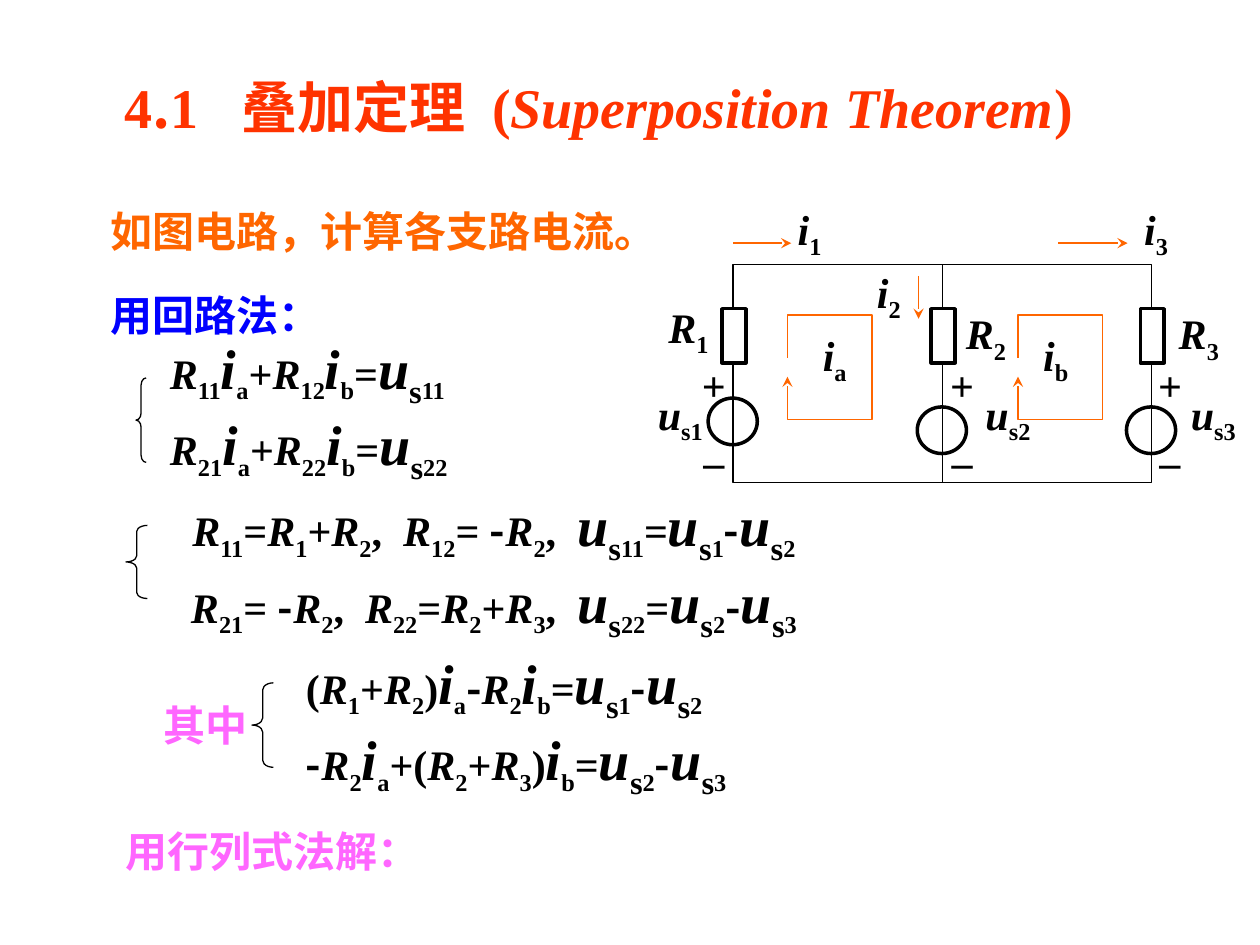
from itertools import groupby
from lxml import etree
from pptx import Presentation
from pptx.dml.color import RGBColor
from pptx.enum.shapes import MSO_CONNECTOR as Conn, MSO_SHAPE as Form
from pptx.enum.text import MSO_ANCHOR as Anchor, MSO_AUTO_SIZE as Fit, PP_ALIGN as Align
from pptx.oxml import parse_xml
from pptx.oxml.ns import qn
from pptx.util import Inches, Pt

SERIF, SANS = "Times New Roman", "Noto Sans CJK SC"
INK = {"black": "000000", "white": "FFFFFF", "red": "FF3300",
       "orange": "FF6600", "blue": "0000FF", "pink": "FF66FF"}
SHADE = ('<a:effectLst xmlns:a="http://schemas.openxmlformats.org/drawingml/2006/main">'
         '<a:outerShdw dist="25400" dir="2700000"><a:srgbClr val="969696"/>'
         '</a:outerShdw></a:effectLst>')

# Each run is its text and format; "gap" is extra letter spacing in points
TITLE = [("4", {}), (".", {"font": SANS}), ("1", {}), (" ", {"gap": 16}),
         ("叠加定理", {}), (" ", {"gap": 8}), ("(", {}),
         ("Superposition Theorem", {"italic": True}), (")", {})]
NOTES = [("如图电路，计算各支路电流。", "orange", (0.75, 1.58, 4.25, 0.5)),
         ("用回路法：", "blue", (0.75, 2.25, 1.58, 0.5)),
         ("其中", "pink", (1.17, 5.5, 0.92, 0.5)),
         ("用行列式法解：", "pink", (0.75, 6.5, 2.5, 0.5))]

# Square brackets hold a subscript
SUMS = [
    (["R[11]i[a]+R[12]i[b]=u[s11]", "R[21]i[a]+R[22]i[b]=u[s22]"],
     (1.25, 2.59, 2.67, 1.32), Align.JUSTIFY),
    (["R[11]=R[1]+R[2], R[12]= -R[2], u[s11]=u[s1]-u[s2]",
      "R[21]= -R[2], R[22]=R[2]+R[3], u[s22]=u[s2]-u[s3]"],
     (1.17, 3.84, 5.5, 1.32), Align.CENTER),
    (["(R[1]+R[2])i[a]-R[2]i[b]=u[s1]-u[s2]",
      "-R[2]i[a]+(R[2]+R[3])i[b]=u[s2]-u[s3]"],
     (2.33, 5.09, 3.75, 1.32), Align.JUSTIFY)]
BRACES = [(1.08, 3, 0.08, 0.67), (1, 4.17, 0.17, 0.58), (2, 5.42, 0.17, 0.67)]

# Circuit: three branches hang between the top and bottom wires
LEFT, TOP, STEP, TALL = 5.82, 2.1, 1.66, 1.73
CELLS = [3.16, 3.23, 3.23]
SIGNS = [5.47, 7.44, 9.09]
TAGS = [("R[1]", (5.18, 2.34, 0.57)), ("R[2]", (7.5, 2.39, 0.65)),
        ("R[3]", (9.23, 2.39, 0.57)), ("u[s1]", (5.12, 3.03, 0.56)),
        ("u[s2]", (7.72, 3.03, 0.56)), ("u[s3]", (9.26, 3.03, 0.74)),
        ("i[1]", (6.23, 1.56, 0.39)), ("i[2]", (6.86, 2.06, 0.39)),
        ("i[3]", (8.98, 1.56, 0.39)), ("i[a]", (6.43, 2.56, 0.39)),
        ("i[b]", (8.18, 2.56, 0.4))]
FLOWS = [(5.82, 1.93, 6.28, 1.93), (7.29, 2.19, 7.29, 2.53), (8.4, 1.93, 8.95, 1.93)]
LOOPS = [6.25, 8.08]

deck = Presentation()
deck.slide_width, deck.slide_height = Inches(10), Inches(7.5)
page = deck.slides.add_slide(deck.slide_layouts[6])
shapes = page.shapes


def tint(name):
    return RGBColor.from_string(INK[name])


def math(code, big=False):
    """Split a formula into runs; big enlarges i, u and the s below u."""
    runs, base = [], ""
    for n, part in enumerate(code.replace("]", "[").split("[")):
        if n % 2:
            if big and base == "u":
                runs.append((part[0], {"sub": True, "size": 32}))
                part = part[1:]
            runs.append((part, {"sub": True}))
            continue
        base = part[-1:]
        for kind, group in groupby(part, lambda c: c if c in "Riu-" else ", " if c in ", " else ""):
            word = "".join(group)
            look = {"italic": kind in ("R", "i", "u")}
            if kind == "-":
                look["font"] = SANS
            if word == ", ":
                look["gap"] = 3
            if big and kind in ("i", "u"):
                look["size"] = 32
            runs.append((word, look))
    return runs


def text(rows, at, size=24, color="black", align=Align.CENTER,
         anchor=Anchor.MIDDLE, wrap=True, fit=Fit.SHAPE_TO_FIT_TEXT, inset=0.1, shade=False):
    frame = shapes.add_textbox(*map(Inches, at)).text_frame
    frame.word_wrap, frame.auto_size = wrap, fit
    frame.vertical_anchor, frame.margin_left = anchor, Inches(inset)
    for n, row in enumerate(rows):
        para = frame.add_paragraph() if n else frame.paragraphs[0]
        para.alignment = align
        for word, look in row:
            run = para.add_run()
            run.text = word
            font = run.font
            font.size, font.bold = Pt(look.get("size", size)), True
            font.italic = look.get("italic", False)
            font.color.rgb = tint(color)
            font.name = look.get("font", SERIF)
            props = run._r.get_or_add_rPr()
            props.find(qn("a:latin")).addnext(
                etree.Element(qn("a:ea"), typeface=SANS))
            if look.get("sub"):
                props.set("baseline", "-25000")
            if "gap" in look:
                props.set("spc", str(look["gap"] * 100))
            if shade:
                props.find(qn("a:solidFill")).addnext(parse_xml(SHADE))


def ink(shape, width, color="black", fill=None):
    shape.shadow.inherit = False
    shape.line.width, shape.line.color.rgb = Pt(width), tint(color)
    if fill:
        shape.fill.solid()
        shape.fill.fore_color.rgb = tint(fill)
    else:
        shape.fill.background()
    return shape


def draw(form, at, width, fill=None):
    return ink(shapes.add_shape(form, *map(Inches, at)), width, fill=fill)


def wire(ends, color="black"):
    line = shapes.add_connector(Conn.STRAIGHT, *map(Inches, ends))
    line.line.width, line.line.color.rgb = Pt(1), tint(color)
    etree.SubElement(line._element.spPr, qn("a:effectLst"))
    return line


def arrow(shape):
    etree.SubElement(shape.line._get_or_add_ln(), qn("a:tailEnd"), type="stealth")


for at in BRACES:
    brace = draw(Form.LEFT_BRACE, at, 0.75)
    brace.adjustments[0] = at[3] / 12 / at[2]

text([TITLE], (0.67, 0.58, 8.25, 0.58), size=32, color="red", align=Align.LEFT,
     anchor=Anchor.BOTTOM, fit=Fit.NONE, inset=0.32, shade=True)
for note, color, at in NOTES:
    text([[(note, {})]], at, color=color)
for rows, at, align in SUMS:
    text([math(row, big=True) for row in rows], at, align=align)

frame = draw(Form.RECTANGLE, (LEFT, TOP, 2 * STEP, TALL), 1, "white")
mid = wire((LEFT + STEP, TOP, LEFT + STEP, TOP + TALL))
mid.begin_connect(frame, 0)
mid.end_connect(frame, 2)
for n, (cell, sign) in enumerate(zip(CELLS, SIGNS)):
    x = LEFT + n * STEP
    draw(Form.OVAL, (x - 0.2, cell, 0.39, 0.37), 2)
    draw(Form.RECTANGLE, (x - 0.09, 2.45, 0.19, 0.43), 2, "white")
    for mark, y in (("+", 2.8), ("–", 3.41)):
        text([[(mark, {})]], (sign, y, 0.39, 0.5), wrap=False)
for code, at in TAGS:
    text([math(code)], (*at, 0.56), wrap=code[0] == "R")
for ends in FLOWS:
    arrow(wire(ends, "orange"))
for x in LOOPS:
    spots = [(x, 2.84), (x, 2.5), (x + 0.67, 2.5),
             (x + 0.67, 3.33), (x, 3.33), (x, 2.99)]
    first, *rest = [(Inches(a), Inches(b)) for a, b in spots]
    pen = shapes.build_freeform(*first)
    pen.add_line_segments(rest, close=False)
    arrow(ink(pen.convert_to_shape(), 1, "orange"))

deck.save("out.pptx")
